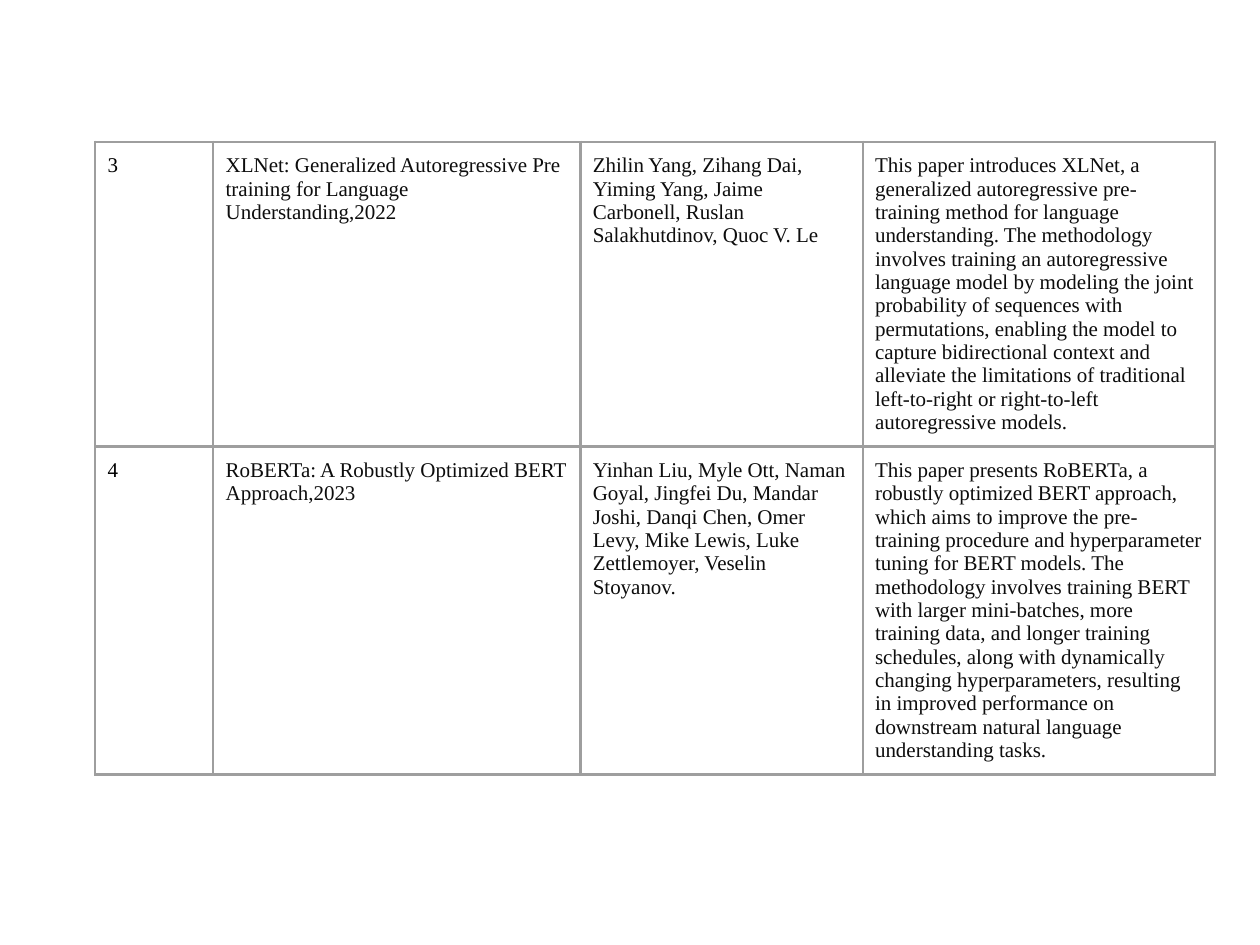
from dataclasses import dataclass

from lxml.etree import SubElement as Sub
from pptx import Presentation as Deck
from pptx.dml.color import RGBColor as Rgb
from pptx.oxml.ns import qn
from pptx.util import Cm, Pt


@dataclass
class Theme:
    font: str = "Times New Roman"
    size: float = 12
    black: str = "000000"
    ink: str = "0D0D0D"
    rule: str = "9E9E9E"
    width: float = 1.5
    inset: float = 0.25


class Page:
    def __init__(self, deck, theme):
        self.theme = theme
        self.slide = deck.slides.add_slide(deck.slide_layouts[6])

    def table(self, left, top, cols, high, rows):
        frame = self.slide.shapes.add_table(
            len(rows), len(cols), Cm(left), Cm(top),
            Cm(sum(cols)), Cm(high * len(rows)))
        grid = frame.table
        grid.first_row = grid.horz_banding = False
        for col, wide in zip(grid.columns, cols):
            col.width = Cm(wide)
        for row, texts in zip(grid.rows, rows):
            row.height = Cm(high)
            for i, (cell, text) in enumerate(zip(row.cells, texts)):
                self.cell(cell, text, self.theme.ink if i else self.theme.black)

    def cell(self, cell, text, color):
        pad = Cm(self.theme.inset)
        cell.margin_left = cell.margin_right = pad
        cell.margin_top = cell.margin_bottom = pad
        cell.fill.background()
        self.edges(cell)
        run = cell.text_frame.paragraphs[0].add_run()
        run.text = text
        run.font.name = self.theme.font
        run.font.size = Pt(self.theme.size)
        run.font.color.rgb = Rgb.from_string(color)

    def edges(self, cell):
        props = cell._tc.get_or_add_tcPr()
        for i, side in enumerate("LRTB"):
            line = Sub(props, qn(f"a:ln{side}"), w=str(Pt(self.theme.width)))
            fill = Sub(line, qn("a:solidFill"))
            Sub(fill, qn("a:srgbClr"), val=self.theme.rule)
            props.insert(i, line)


PAPERS = [
    ("3",
     "XLNet: Generalized Autoregressive Pre training for Language "
     "Understanding,2022",
     "Zhilin Yang, Zihang Dai, Yiming Yang, Jaime Carbonell, "
     "Ruslan Salakhutdinov, Quoc V. Le",
     "This paper introduces XLNet, a generalized autoregressive pre-training "
     "method for language understanding. The methodology involves training an "
     "autoregressive language model by modeling the joint probability of "
     "sequences with permutations, enabling the model to capture "
     "bidirectional context and alleviate the limitations of traditional "
     "left-to-right or right-to-left autoregressive models."),
    ("4",
     "RoBERTa: A Robustly Optimized BERT Approach,2023",
     "Yinhan Liu, Myle Ott, Naman Goyal, Jingfei Du, Mandar Joshi, "
     "Danqi Chen, Omer Levy, Mike Lewis, Luke Zettlemoyer, "
     "Veselin Stoyanov.",
     "This paper presents RoBERTa, a robustly optimized BERT approach, which "
     "aims to improve the pre-training procedure and hyperparameter tuning "
     "for BERT models. The methodology involves training BERT with larger "
     "mini-batches, more training data, and longer training schedules, along "
     "with dynamically changing hyperparameters, resulting in improved "
     "performance on downstream natural language understanding tasks."),
]


def main():
    deck = Deck()
    deck.slide_width, deck.slide_height = Cm(25.4), Cm(19.05)
    page = Page(deck, Theme())
    page.table(1.92, 2.86, [2.38, 7.4, 5.69, 7.1], 1.07, PAPERS)
    deck.save("out.pptx")


if __name__ == "__main__":
    main()
